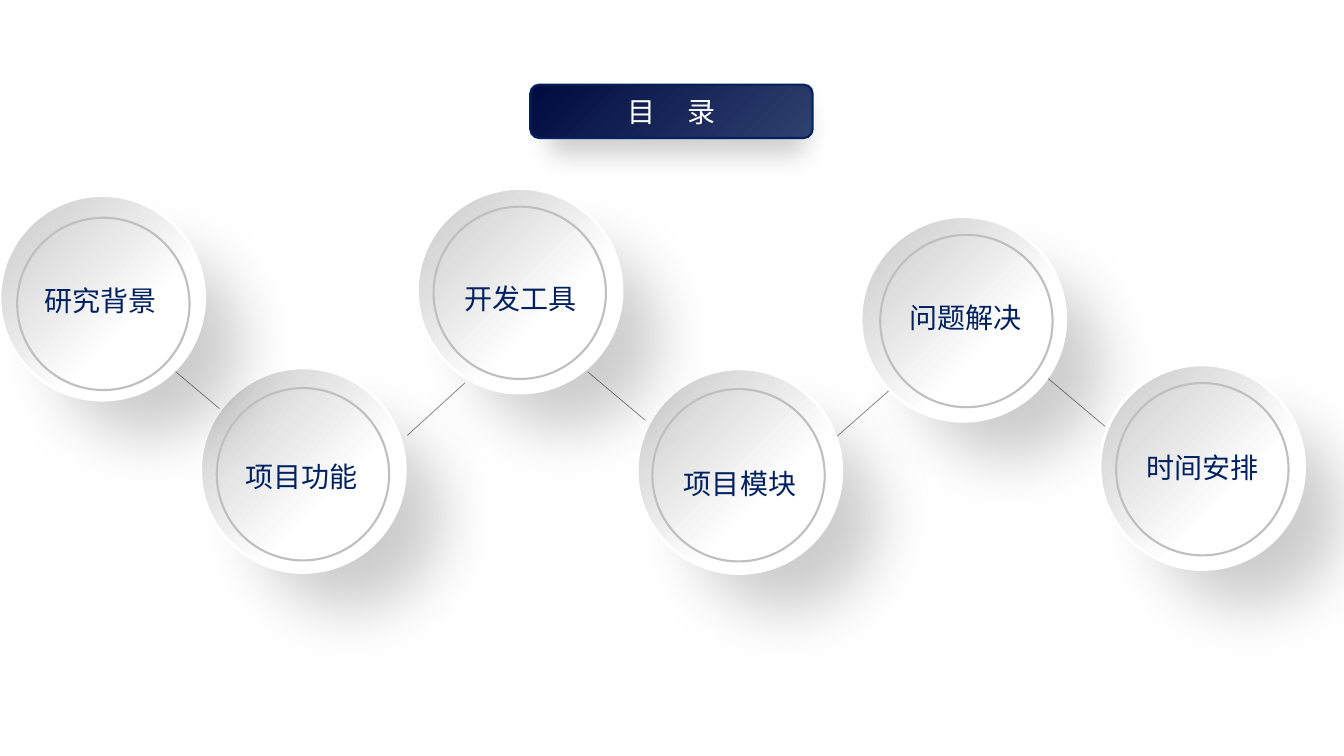
from dataclasses import dataclass

from lxml import etree
from pptx import Presentation
from pptx.dml.color import RGBColor
from pptx.enum.shapes import MSO_CONNECTOR, MSO_SHAPE
from pptx.enum.text import MSO_ANCHOR, PP_ALIGN
from pptx.oxml.ns import qn
from pptx.util import Inches, Pt

LINE = MSO_CONNECTOR.STRAIGHT
OVAL, ROUND = MSO_SHAPE.OVAL, MSO_SHAPE.ROUNDED_RECTANGLE
MIDDLE, CENTER = MSO_ANCHOR.MIDDLE, PP_ALIGN.CENTER

FACE = "Noto Sans CJK SC"
NAVY, WHITE, SILVER, GRAY = "002060", "FFFFFF", "BFBFBF", "808080"
DISC, RING = 2.03, 1.71
LABEL = (1.32, 0.44)
PEARL = [(0, WHITE), (36, WHITE), (100, "C7C7C7")]
NIGHT = [(0, "2F416F"), (100, "000B3F")]


@dataclass
class Topic:
    text: str
    disc: tuple[float, float]
    ring: tuple[float, float]
    label: tuple[float, float]


@dataclass
class Link:
    start: tuple[float, float]
    end: tuple[float, float]


TOPICS = [
    Topic("问题解决", (8.54, 2.15), (8.73, 2.33), (8.92, 2.93)),
    Topic("项目模块", (6.32, 3.66), (6.47, 3.86), (6.68, 4.57)),
    Topic("开发工具", (4.14, 1.87), (4.3, 2.05), (4.5, 2.74)),
    Topic("项目功能", (1.99, 3.65), (2.15, 3.85), (2.33, 4.51)),
    Topic("研究背景", (0, 1.94), (0.17, 2.16), (0.34, 2.76)),
    Topic("时间安排", (10.91, 3.62), (11.07, 3.8), (11.27, 4.42)),
]
LINKS = [
    Link((1.65, 3.61), (2.22, 4.09)),
    Link((4.04, 4.32), (4.61, 3.8)),
    Link((5.83, 3.69), (6.4, 4.17)),
    Link((8.3, 4.33), (8.88, 3.82)),
    Link((10.39, 3.75), (10.96, 4.23)),
]


def color(code: str) -> RGBColor:
    return RGBColor.from_string(code)


def node(home, tag: str, **marks):
    """Add a child element with the given attributes."""
    item = etree.SubElement(home, qn(tag))
    for key, value in marks.items():
        item.set(key, str(value))
    return item


def shade(shape, stops: list) -> None:
    """Fill with a gradient that runs from lower right to upper left."""
    props = shape._element.spPr
    grad = node(props, "a:gradFill", rotWithShape=1)
    props.insert(2, grad)
    group = node(grad, "a:gsLst")
    for place, code in stops:
        stop = node(group, "a:gs", pos=place * 1000)
        node(stop, "a:srgbClr", val=code)
    node(grad, "a:lin", ang=225 * 60000, scaled=0)


def drop(shape, blur: float, dist: float) -> None:
    """Cast a soft, slightly smaller shadow to the lower right."""
    group = shape._element.spPr.find(qn("a:effectLst"))
    cast = node(group, "a:outerShdw", blurRad=Pt(blur), dist=Pt(dist),
                dir=45 * 60000, sx=90000, sy=90000, algn="tl", rotWithShape=0)
    tone = node(cast, "a:srgbClr", val="000000")
    node(tone, "a:alpha", val=20000)


def form(slide, kind, spot: tuple, size: tuple, edge: str, width: float):
    shape = slide.shapes.add_shape(kind, *map(Inches, spot + size))
    shape.shadow.inherit = False
    shape.line.color.rgb = color(edge)
    shape.line.width = Pt(width)
    return shape


def write(shape, parts: list[str], code: str, wrap: bool) -> list:
    """Set centred text and give back its runs."""
    frame = shape.text_frame
    looks = {"word_wrap": wrap, "vertical_anchor": MIDDLE}
    for key, value in looks.items():
        setattr(frame, key, value)
    para = frame.paragraphs[0]
    para.alignment = CENTER
    runs = []
    for part in parts:
        run = para.add_run()
        run.text = part
        for key, value in {"name": FACE, "size": Pt(20)}.items():
            setattr(run.font, key, value)
        run.font.color.rgb = color(code)
        node(run.font._element, "a:ea", typeface=FACE)
        runs.append(run)
    return runs


def join(slide, link: Link) -> None:
    line = slide.shapes.add_connector(LINE, *map(Inches, link.start + link.end))
    line.line.color.rgb = color(GRAY)
    line.line.width = Pt(0.5)
    node(line._element.spPr, "a:effectLst")


def badge(slide, topic: Topic) -> None:
    disc = form(slide, OVAL, topic.disc, (DISC, DISC), WHITE, 2)
    shade(disc, PEARL)
    drop(disc, 44, 56)


def face(slide, topic: Topic) -> None:
    ring = form(slide, OVAL, topic.ring, (RING, RING), SILVER, 1.5)
    ring.fill.background()
    box = slide.shapes.add_textbox(*map(Inches, topic.label + LABEL))
    write(box, [topic.text], NAVY, False)


def title(slide) -> None:
    bar = form(slide, ROUND, (5.26, 0.84), (2.8, 0.53), NAVY, 1.5)
    shade(bar, NIGHT)
    drop(bar, 19, 20)
    for side in ("left", "top", "right", "bottom"):
        setattr(bar.text_frame, f"margin_{side}", 0)
    gap = write(bar, ["目", " ", "录"], WHITE, True)[1]
    gap.font._element.set("spc", "1800")  # wide letter gap


def main() -> None:
    deck = Presentation()
    deck.slide_width, deck.slide_height = Inches(13.33), Inches(7.5)
    slide = deck.slides.add_slide(deck.slide_layouts[6])

    # Links lie behind the discs
    for link in LINKS:
        join(slide, link)

    # Discs, then their rings and labels
    for topic in TOPICS:
        badge(slide, topic)
    for topic in TOPICS:
        face(slide, topic)

    # Heading bar
    title(slide)
    deck.save("out.pptx")


if __name__ == "__main__":
    main()
